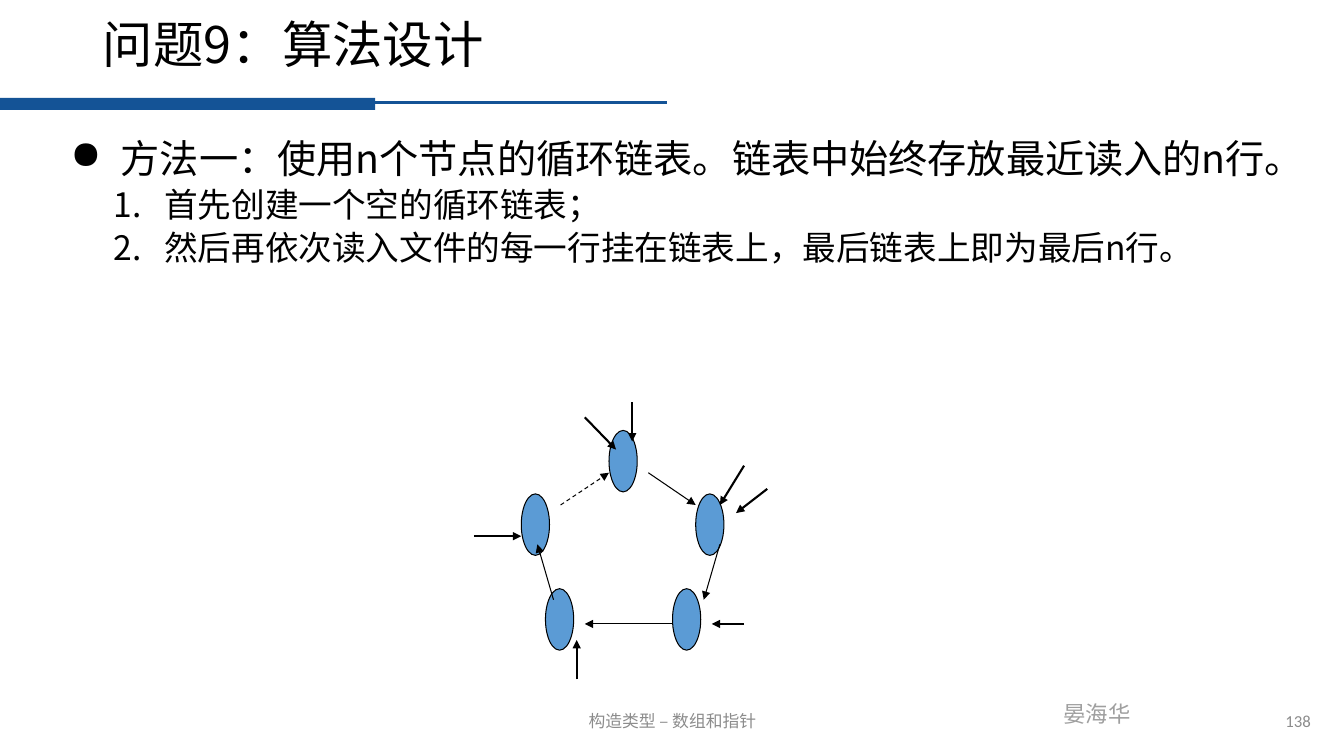
from lxml.etree import SubElement
from pptx import Presentation
from pptx.dml.color import RGBColor
from pptx.enum.dml import MSO_LINE
from pptx.enum.shapes import MSO_CONNECTOR, MSO_SHAPE
from pptx.enum.text import MSO_ANCHOR, PP_ALIGN
from pptx.oxml.ns import qn
from pptx.util import Pt

PX = 9144  # 100 px to the inch
COLORS = {"rule": "145396", "node": "5B9BD5", "ink": "000000",
          "footer": "8C8C8C", "author": "9F9F9F"}
CJK_FONT = "Noto Sans CJK SC"
FOOTER_FONT = "Calibri"

NODE_WIDTH, NODE_HEIGHT = 28, 61
NODES = [(604, 427), (690, 490), (667, 584), (541, 584), (517, 490)]
LINKS = [(643, 469, 690, 501), (714, 540, 698, 595), (667, 619, 580, 619),
         (549, 595, 533, 540)]
LAST_LINK = (556, 501, 604, 469)
POINTERS = [(627, 399, 627, 438), (761, 485, 730, 509), (738, 619, 706, 619),
            (572, 674, 572, 635), (470, 532, 517, 532), (580, 414, 611, 446),
            (738, 462, 714, 501)]


def rgb(name):
    return RGBColor.from_string(COLORS[name])


def px(*lengths):
    return [length * PX for length in lengths]


def format_paragraph(paragraph, size, color="ink", font=CJK_FONT):
    paragraph.font.size = Pt(size)
    paragraph.font.name = font
    paragraph.font.color.rgb = rgb(color)


def add_label(slide, text, box, size, color, align=PP_ALIGN.LEFT,
              anchor=MSO_ANCHOR.MIDDLE, wrap=True):
    frame = slide.shapes.add_textbox(*px(*box)).text_frame
    frame.word_wrap = wrap
    frame.vertical_anchor = anchor
    paragraph = frame.paragraphs[0]
    paragraph.text = text
    paragraph.alignment = align
    format_paragraph(paragraph, size, color, FOOTER_FONT)


def add_filled_shape(slide, preset, box, fill, outline=None):
    shape = slide.shapes.add_shape(preset, *px(*box))
    shape.shadow.inherit = False
    shape.fill.solid()
    shape.fill.fore_color.rgb = rgb(fill)
    if outline:
        shape.line.color.rgb = rgb(outline)
        shape.line.width = Pt(0.75)
    else:
        shape.line.fill.background()


def add_line(slide, ends, width, color="ink", arrow=True, dashed=False):
    connector = slide.shapes.add_connector(MSO_CONNECTOR.STRAIGHT, *px(*ends))
    connector.line.color.rgb = rgb(color)
    connector.line.width = Pt(width)
    if dashed:
        connector.line.dash_style = MSO_LINE.DASH
    properties = connector._element.spPr
    if arrow:
        SubElement(properties.find(qn("a:ln")), qn("a:tailEnd"), type="triangle")
    SubElement(properties, qn("a:effectLst"))


def add_list_item(paragraph, text, size, indent, bullet, **marker):
    paragraph.text = text
    properties = paragraph._p.get_or_add_pPr()
    properties.set("marL", str(indent * PX))
    properties.set("indent", str(-50 * PX))
    SubElement(properties, qn(bullet), **marker)
    format_paragraph(paragraph, size)


def add_title(slide, text):
    title = slide.shapes.title
    title.left, title.top, title.width, title.height = px(92, 17, 1150, 60)
    title.text_frame.vertical_anchor = MSO_ANCHOR.MIDDLE
    paragraph = title.text_frame.paragraphs[0]
    paragraph.text = text
    paragraph.alignment = PP_ALIGN.LEFT
    paragraph.line_spacing = 0.9
    format_paragraph(paragraph, 36)


def add_body(slide, method, steps):
    frame = slide.shapes.add_textbox(*px(60, 128, 1221, 476)).text_frame
    frame.word_wrap = True
    add_list_item(frame.paragraphs[0], method, 28, 50, "a:buChar", char="●")
    for step in steps:
        paragraph = frame.add_paragraph()
        paragraph.level = 1
        paragraph.line_spacing = 0.9
        paragraph.space_before = Pt(5)
        add_list_item(paragraph, step, 24, 93, "a:buAutoNum", type="arabicPeriod")


def add_circular_list(slide):
    for left, top in NODES:
        add_filled_shape(slide, MSO_SHAPE.OVAL,
                         (left, top, NODE_WIDTH, NODE_HEIGHT), "node", "ink")
    for ends in LINKS:
        add_line(slide, ends, 0.75)
    add_line(slide, LAST_LINK, 0.75, dashed=True)
    for ends in POINTERS:
        add_line(slide, ends, 1.5)


def main():
    presentation = Presentation()
    presentation.slide_width, presentation.slide_height = px(1333, 750)
    slide = presentation.slides.add_slide(presentation.slide_layouts[5])

    # Heading with its two-part rule
    add_filled_shape(slide, MSO_SHAPE.RECTANGLE, (0, 97, 372, 12), "rule")
    add_line(slide, (368, 102, 662, 102), 2.25, "rule", arrow=False)
    add_title(slide, "问题9：算法设计")

    # Method and its steps
    add_body(slide, "方法一：使用n个节点的循环链表。链表中始终存放最近读入的n行。",
             ["首先创建一个空的循环链表；",
              "然后再依次读入文件的每一行挂在链表上，最后链表上即为最后n行。"])

    # Circular linked list
    add_circular_list(slide)

    # Footer
    add_label(slide, "晏海华", (1045, 690, 88, 37), 16, "author",
              anchor=MSO_ANCHOR.TOP, wrap=False)
    add_label(slide, "构造类型 – 数组和指针", (442, 695, 450, 40), 12, "footer",
              PP_ALIGN.CENTER)
    add_label(slide, "138", (1010, 695, 300, 40), 12, "footer", PP_ALIGN.RIGHT)

    presentation.save("out.pptx")


if __name__ == "__main__":
    main()
